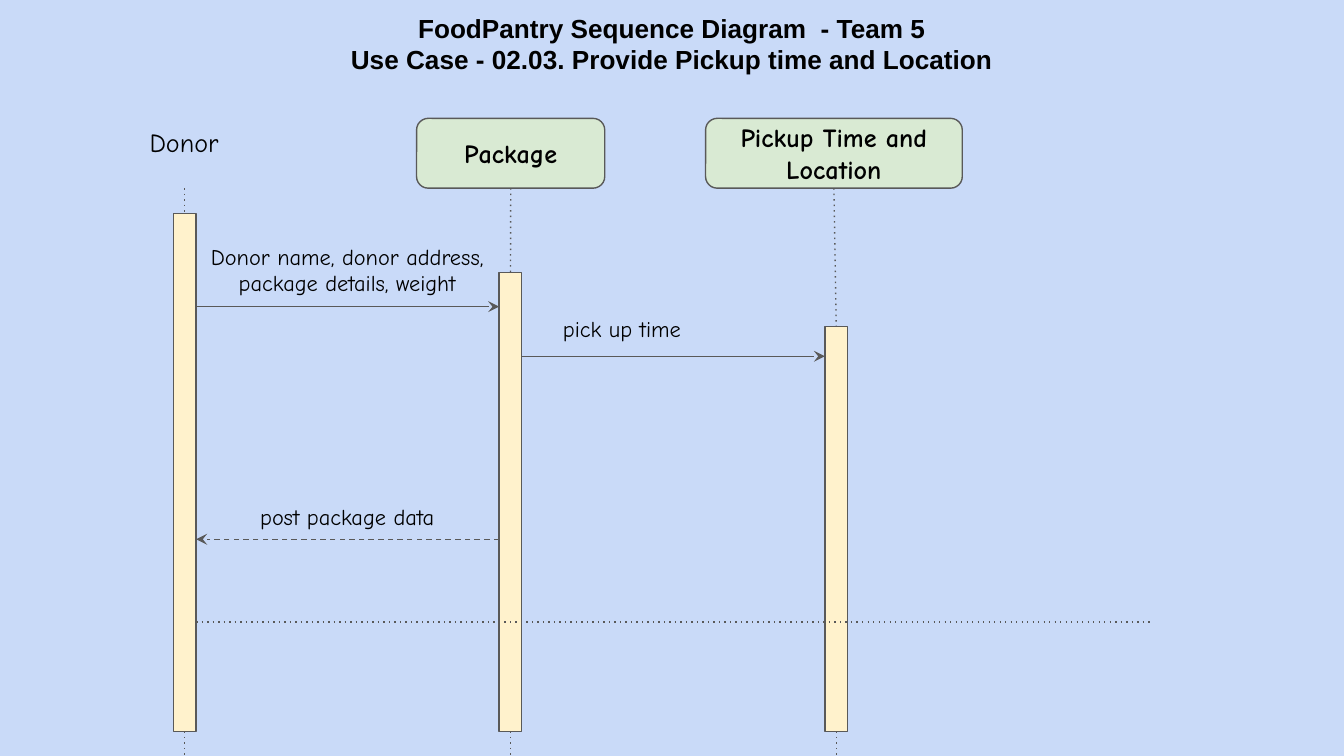
from lxml.etree import SubElement
from pptx import Presentation
from pptx.dml.color import RGBColor
from pptx.enum.shapes import MSO_CONNECTOR, MSO_SHAPE
from pptx.enum.text import MSO_ANCHOR as ANCHOR, MSO_AUTO_SIZE as AUTO, PP_ALIGN as ALIGN
from pptx.oxml.ns import qn
from pptx.util import Pt

TITLE = ["FoodPantry Sequence Diagram  - Team 5",
         "Use Case - 02.03. Provide Pickup time and Location"]
BARS = [114.5, 146, 175]
HEADS = [("Package", 1, 223.2, 100.8), ("Pickup Time and Location", 2, 378, 137.5)]
CALLS = [(0, 1, 164.3, None), (1, 2, 190.9, None), (1, 0, 288.9, "dash")]
NOTES = [
    ("Donor name, donor address, package details, weight", (105.8, 131.4, 160.6, 26), 12, ALIGN.CENTER, ANCHOR.MIDDLE),
    ("post package data", (105.8, 265, 160.6, 23.8), 12, ALIGN.CENTER, ANCHOR.MIDDLE),
    ("pick up time", (294.5, 164.2, 137.5, 23.8), 12, ALIGN.LEFT, ANCHOR.MIDDLE),
    ("Donor", (54, 60.5, 89.3, 23.8), 14, ALIGN.CENTER, ANCHOR.TOP),
]
WIDE, HIGH = 720, 405
FIRST, STEP, THICK, FOOT = 99, 174.5, 12.2, 391.8
HEAD_TOP, HEAD_HIGH = 63.4, 37.4
HEAD_FOOT = HEAD_TOP + HEAD_HIGH
BLACK, GREY, COMIC = "000000", "595959", "Comic Neue"


def paint(target, color):
    target.solid()
    target.fore_color.rgb = RGBColor.from_string(color)


def write(shape, lines, size, face, bold=False, align=ALIGN.CENTER, anchor=ANCHOR.MIDDLE):
    frame = shape.text_frame
    frame.text = "\n".join(lines)
    frame.word_wrap, frame.auto_size = True, AUTO.NONE
    frame.vertical_anchor = anchor
    frame.margin_left = frame.margin_right = frame.margin_top = frame.margin_bottom = Pt(7.2)
    for para in frame.paragraphs:
        para.alignment = align
        font = para.font
        font.size, font.name, font.bold = Pt(size), face, bold
        paint(font.fill, BLACK)


def add_box(slide, kind, place, color):
    box = slide.shapes.add_shape(kind, *map(Pt, place))
    box.shadow.inherit = False
    paint(box.fill, color)
    paint(box.line.fill, GREY)
    box.line.width = Pt(0.75)
    return box


def add_line(slide, x1, y1, x2, y2, dash=None, arrow=False):
    line = slide.shapes.add_connector(MSO_CONNECTOR.STRAIGHT, *map(Pt, (x1, y1, x2, y2)))
    paint(line.line.fill, GREY)
    line.line.width = Pt(0.75)
    props = line._element.spPr
    stroke = props.find(qn("a:ln"))
    if dash:
        SubElement(stroke, qn("a:prstDash"), val=dash)
    if arrow:
        SubElement(stroke, qn("a:tailEnd"), type="stealth", w="med", len="med")
    SubElement(props, qn("a:effectLst"))
    return line


def main():
    """Build the pickup sequence diagram slide."""
    deck = Presentation()
    deck.slide_width, deck.slide_height = Pt(WIDE), Pt(HIGH)
    slide = deck.slides.add_slide(deck.slide_layouts[5])
    paint(slide.background.fill, "C9DAF8")

    title = slide.shapes.title
    title.left, title.top, title.width, title.height = map(Pt, (0, -0.7, WIDE, 44))
    write(title, TITLE, 14, "Arial", bold=True, anchor=ANCHOR.TOP)

    heads = {}
    for text, col, left, width in HEADS:
        head = add_box(slide, MSO_SHAPE.ROUNDED_RECTANGLE,
                       (left, HEAD_TOP, width, HEAD_HIGH), "D9EAD3")
        write(head, [text], 14, COMIC, bold=True)
        heads[col] = head

    mids = [FIRST + STEP * col for col in range(len(BARS))]
    bars = [add_box(slide, MSO_SHAPE.RECTANGLE,
                    (mid - THICK / 2, top, THICK, FOOT - top), "FFF2CC")
            for mid, top in zip(mids, BARS)]

    for start, end, y, dash in CALLS:
        side = THICK / 2 if start < end else -THICK / 2
        add_line(slide, mids[start] + side, y, mids[end] - side, y, dash, arrow=True)
    add_line(slide, FIRST + THICK / 2, 333.2, 616.5, 333.2, "dot")

    for col, (mid, top, bar) in enumerate(zip(mids, BARS, bars)):
        add_line(slide, mid, FOOT, mid, HIGH, "dot").begin_connect(bar, 2)
        life = add_line(slide, mid, HEAD_FOOT, mid, top, "dot")
        if col in heads:
            life.begin_connect(heads[col], 2)
        life.end_connect(bar, 0)

    for text, place, size, align, anchor in NOTES:
        note = slide.shapes.add_textbox(*map(Pt, place))
        write(note, [text], size, COMIC, align=align, anchor=anchor)

    deck.save("out.pptx")


if __name__ == "__main__":
    main()
